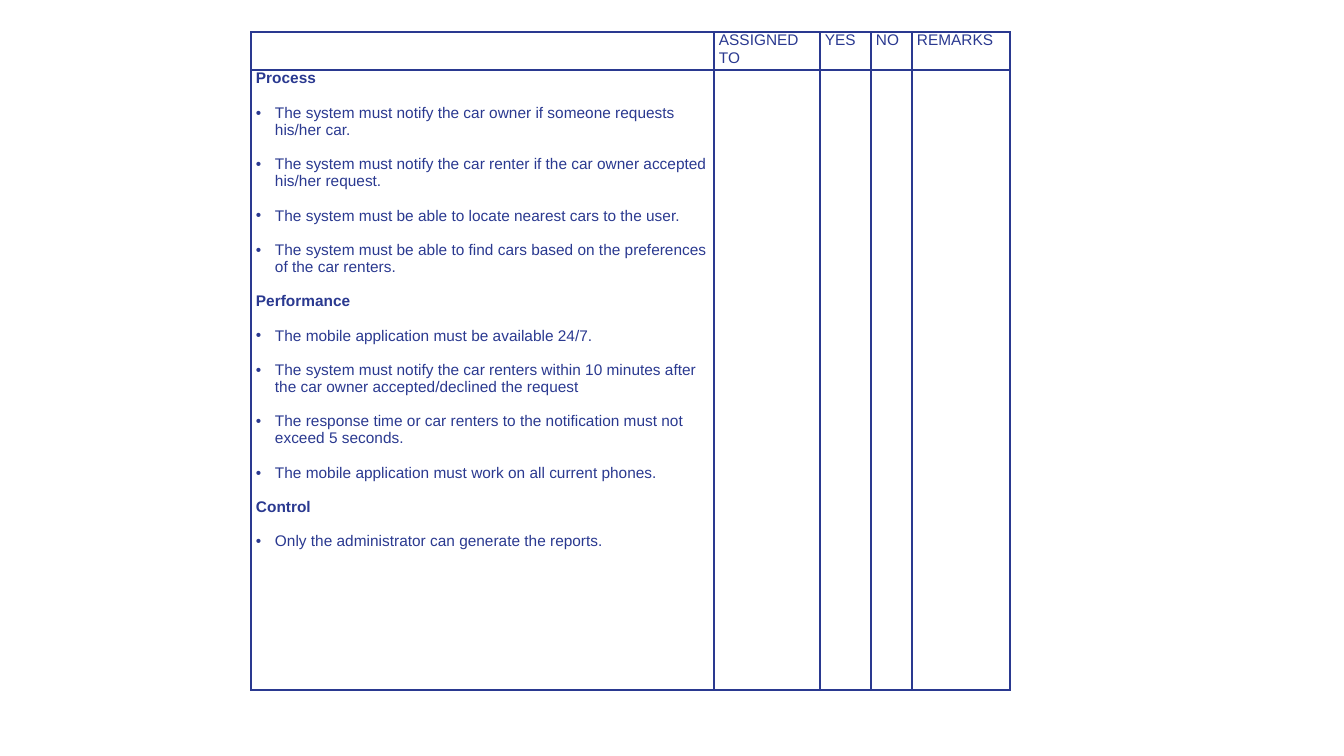
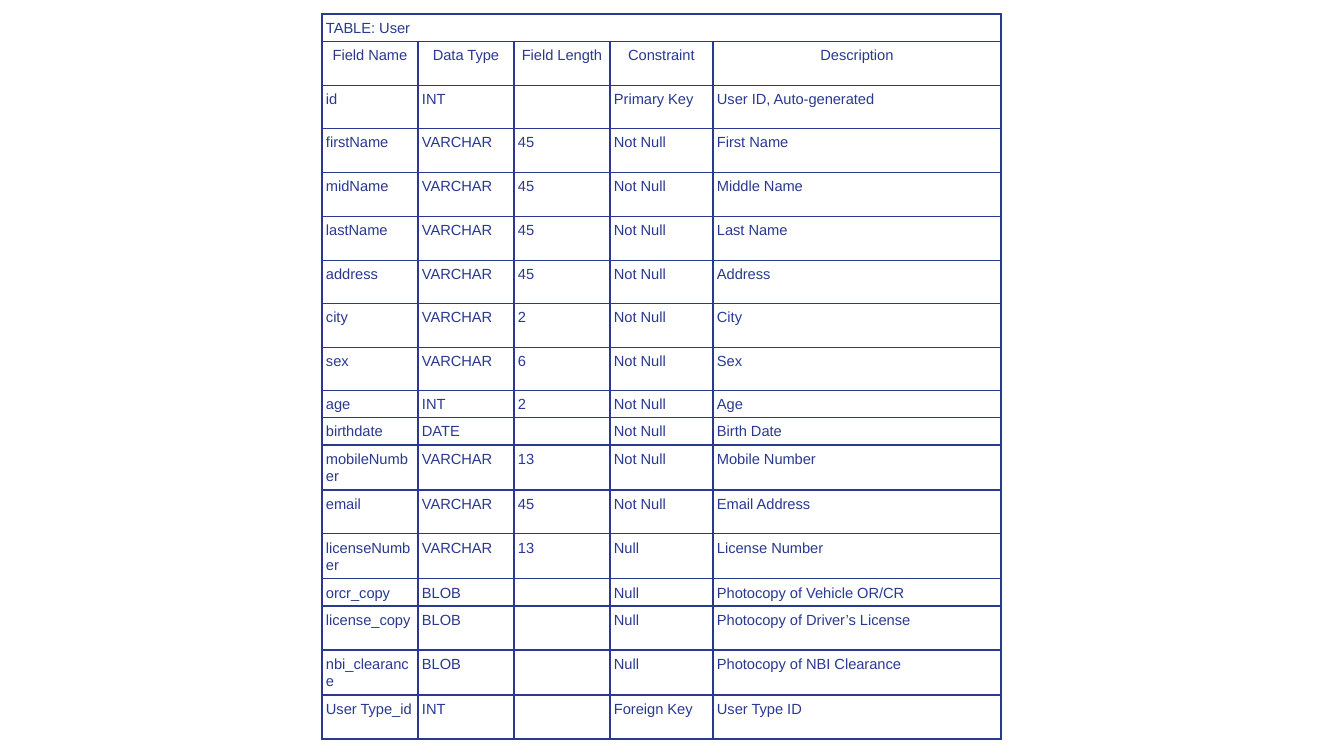
from itertools import pairwise

from lxml import etree
from pptx import Presentation
from pptx.dml.color import RGBColor
from pptx.enum.text import PP_ALIGN
from pptx.oxml.ns import qn
from pptx.util import Pt

LEFT, CENTER = PP_ALIGN.LEFT, PP_ALIGN.CENTER
BLANK_LAYOUT = 6
PX = 12192000 / 1344
COLORS = {"ink": "2A3990"}
FONT = "Arial"
BORDER_WIDTH = Pt(1)
BULLET_INDENT = 19


def px(length):
    return round(length * PX)


def write(paragraph, text, size, bold=False):
    paragraph.text = text
    paragraph.font.name = FONT
    paragraph.font.size = Pt(size)
    paragraph.font.bold = bold
    paragraph.font.color.rgb = RGBColor.from_string(COLORS["ink"])


presentation = Presentation()
presentation.slide_width, presentation.slide_height = px(1344), px(756)
layout = presentation.slide_layouts[BLANK_LAYOUT]

# Row edges of the data dictionary, from top to bottom
ROW_EDGES = [14, 41, 85, 128, 172, 216, 260, 303, 347, 390,
             417, 444, 489, 533, 577, 604, 648, 693, 737]
dictionary_heights = [bottom - top for top, bottom in pairwise(ROW_EDGES)]

# One unfilled table with ink borders per slide:
# left, top, column widths, row heights, side inset, top and bottom inset
GRIDS = [
    (251, 32, [463, 106, 51, 41, 98], [38, 620], 5, 0),
    (322, ROW_EDGES[0], [96, 96, 96, 103, 288], dictionary_heights, 4, 5),
]
tables = []
for left, top, column_widths, row_heights, inset_x, inset_y in GRIDS:
    slide = presentation.slides.add_slide(layout)
    table = slide.shapes.add_table(
        len(row_heights), len(column_widths), px(left), px(top),
        px(sum(column_widths)), px(sum(row_heights))).table
    table.first_row = table.horz_banding = False
    for column, width in zip(table.columns, column_widths):
        column.width = px(width)
    for row, height in zip(table.rows, row_heights):
        row.height = px(height)
    for cell in table.iter_cells():
        cell.margin_left = cell.margin_right = px(inset_x)
        cell.margin_top = cell.margin_bottom = px(inset_y)
        properties = cell._tc.get_or_add_tcPr()
        for side in ("lnL", "lnR", "lnT", "lnB"):
            line = etree.SubElement(properties, qn(f"a:{side}"), w=str(BORDER_WIDTH))
            fill = etree.SubElement(line, qn("a:solidFill"))
            etree.SubElement(fill, qn("a:srgbClr"), val=COLORS["ink"])
        cell.fill.background()
    tables.append(table)
checklist, dictionary = tables

# Slide 1: requirements checklist
CHECKLIST_HEADERS = ["", "ASSIGNED TO", "YES", "NO", "REMARKS"]
REQUIREMENTS = {
    "Process": [
        "The system must notify the car owner if someone requests his/her car.",
        "The system must notify the car renter if the car owner accepted his/her request.",
        "The system must be able to locate nearest cars to the user.",
        "The system must be able to find cars based on the preferences of the car renters.",
    ],
    "Performance": [
        "The mobile application must be available 24/7.",
        "The system must notify the car renters within 10 minutes after "
        "the car owner accepted/declined the request",
        "The response time or car renters to the notification must not exceed 5 seconds.",
        "The mobile application must work on all current phones.",
    ],
    "Control": ["Only the administrator can generate the reports."],
}

for column, header in enumerate(CHECKLIST_HEADERS):
    write(checklist.cell(0, column).text_frame.paragraphs[0], header, 11)

text_frame = checklist.cell(1, 0).text_frame
paragraph = text_frame.paragraphs[0]
for heading, items in REQUIREMENTS.items():
    for text in [heading, *items]:
        if paragraph.text:
            paragraph = text_frame.add_paragraph()
            paragraph.space_before = Pt(12.25)
        write(paragraph, text, 11, bold=text == heading)
        if text != heading:
            properties = paragraph._p.get_or_add_pPr()
            properties.set("marL", str(px(BULLET_INDENT)))
            properties.set("indent", str(-px(BULLET_INDENT)))
            run_defaults = properties.find(qn("a:defRPr"))
            run_defaults.addprevious(etree.Element(qn("a:buFont"), typeface=FONT))
            run_defaults.addprevious(etree.Element(qn("a:buChar"), char="•"))

# Slide 2: data dictionary of the User table
DICTIONARY_ROWS = [
    ["TABLE: User", "", "", "", ""],
    ["Field Name", "Data Type", "Field Length", "Constraint", "Description"],
    ["id", "INT", "", "Primary Key", "User ID, Auto-generated"],
    ["firstName", "VARCHAR", "45", "Not Null", "First Name"],
    ["midName", "VARCHAR", "45", "Not Null", "Middle Name"],
    ["lastName", "VARCHAR", "45", "Not Null", "Last Name"],
    ["address", "VARCHAR", "45", "Not Null", "Address"],
    ["city", "VARCHAR", "2", "Not Null", "City"],
    ["sex", "VARCHAR", "6", "Not Null", "Sex"],
    ["age", "INT", "2", "Not Null", "Age"],
    ["birthdate", "DATE", "", "Not Null", "Birth Date"],
    ["mobileNumber", "VARCHAR", "13", "Not Null", "Mobile Number"],
    ["email", "VARCHAR", "45", "Not Null", "Email Address"],
    ["licenseNumber", "VARCHAR", "13", "Null", "License Number"],
    ["orcr_copy", "BLOB", "", "Null", "Photocopy of Vehicle OR/CR"],
    ["license_copy", "BLOB", "", "Null", "Photocopy of Driver’s License"],
    ["nbi_clearance", "BLOB", "", "Null", "Photocopy of NBI Clearance"],
    ["User Type_id", "INT", "", "Foreign Key", "User Type ID"],
]

dictionary.cell(0, 0).merge(dictionary.cell(0, 4))
for row, texts in enumerate(DICTIONARY_ROWS):
    for column, text in enumerate(texts):
        paragraph = dictionary.cell(row, column).text_frame.paragraphs[0]
        write(paragraph, text, 10.5)
        paragraph.line_spacing = 1.07
        paragraph.alignment = CENTER if row == 1 else LEFT

presentation.save("out.pptx")
